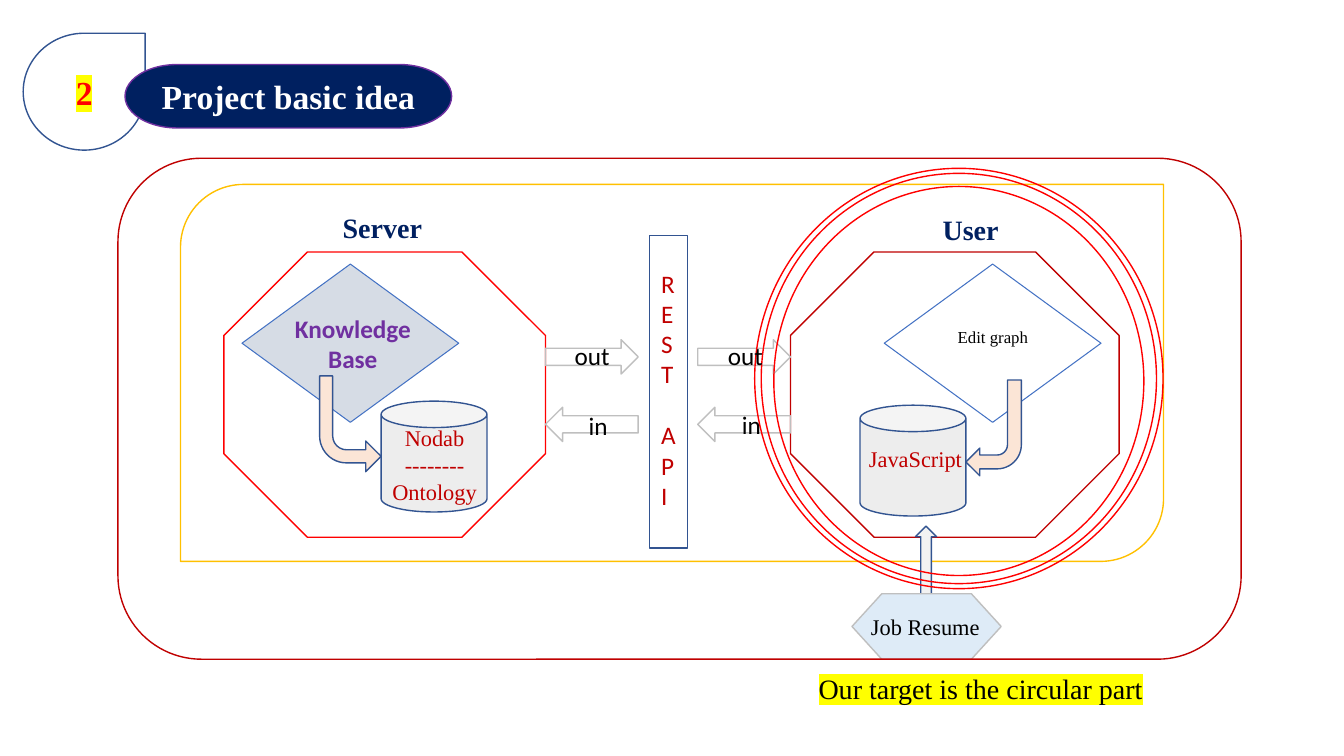
"""Build the slide that shows the basic idea of the project."""
import pptx
import pptx.util
import pptx.dml.color
import pptx.enum.shapes
import pptx.enum.text
import lxml.etree

KIND = pptx.enum.shapes.MSO_SHAPE
ALIGN = pptx.enum.text.PP_ALIGN
FIT = pptx.enum.text.MSO_AUTO_SIZE
PT = pptx.util.Pt

THEME = {
    "serif": "Times New Roman", "sans": "Calibri",
    "title": 24, "head": 20, "body": 18, "part": 16, "note": 12,
    "navy": "002060", "blue": "325491", "sky": "4472C4", "slate": "D6DCE5",
    "ice": "DEEBF7", "red": "FF0000", "brick": "C00000", "gold": "FFC000",
    "plum": "7030A0", "peach": "FBE5D6", "grey": "BFBFBF", "ash": "EDEDED",
    "mist": "F2F2F2", "white": "FFFFFF", "black": "000000", "glow": "FFFF00",
}

WIDE, HIGH = 13.33, 7.5
COLS, ROWS = 133.3, 75

PANELS = [
    {"oct": (22.2, 25, 31.9, 28.3), "edge": "red", "gem": 24, "fill": "slate",
     "can": (37.8, 39.8), "bend": (31.7, 37.3, 6.1, 9.5), "flip": "flipV",
     "turn": 0, "adj": (0.213, 0.25, 0.25, 0.438)},
    {"oct": (78.4, 25, 32.6, 28.3), "edge": "brick", "gem": 87.7, "fill": None,
     "can": (85.3, 40.2), "bend": (95.8, 37.7, 5.5, 9.5), "flip": None,
     "turn": 180, "adj": ()},
]
GEM_TOP, GEM, CAN = 26.2, (21.5, 15.7), (10.5, 11)
FLOW_X, FLOW = (54.1, 69.2), (9.2, 3.4)
FLOW_Y = ((33.7, None), (40.4, "flipH"))
RING_X = 95.1
RINGS = [(16.7, 40.5, 41.7), (17.2, 39.2, 40.7), (18.5, 36.7, 38.6)]

LABELS = [
    ("Knowledge\nBase", (27.8, 30.6, 14.4, 7.1), "sans", "body", "plum",
     {"bold": True, "mid": True}),
    ("Nodab\n--------\nOntology", (37.2, 41.6, 11.8, 9.4), "serif", "part",
     "brick", {"mid": True}),
    ("JavaScript", (83.4, 43.7, 14.8, 3.7), "serif", "part", "brick",
     {"mid": True}),
    ("Server", (33, 20.4, 13.3, 4.4), "serif", "head", "navy", {"bold": True}),
    ("User", (92.5, 20.6, 9.3, 4.4), "serif", "head", "navy", {"bold": True}),
    ("R\nE\nS\nT\nA\nP\nI", (64.6, 26.1, 3, 28.3), "sans", "body", "brick",
     {"gap": 4}),
    ("out", (56, 33.3, 6.7, 4), "sans", "body", "black", {}),
    ("in", (57.4, 40.2, 5.2, 4), "sans", "body", "black", {}),
    ("out", (71.2, 33.3, 7.2, 4), "sans", "body", "black", {}),
    ("in", (72.6, 40.1, 6.2, 4), "sans", "body", "black", {}),
    ("Job Resume", (85.4, 60.3, 12.9, 3.7), "serif", "part", "black",
     {"wrap": False}),
    ("Edit graph", (94, 31.9, 9.1, 3), "serif", "note", "black",
     {"wrap": False}),
    ("Our target is the circular part", (80.2, 66.1, 34.3, 4.4), "serif",
     "head", "black", {"mark": True}),
]


def tint(name):
    return pptx.dml.color.RGBColor.from_string(THEME[name])


def place(at):
    wide, high = pptx.util.Inches(WIDE), pptx.util.Inches(HIGH)
    return [round(part * side / count) for part, side, count
            in zip(at, (wide, high) * 2, (COLS, ROWS) * 2)]


def draw(slide, kind, at, edge, fill=None, flip=None, turn=0, adj=(), line=1):
    shape = slide.shapes.add_shape(kind, *place(at))
    shape.shadow.inherit = False
    if fill:
        shape.fill.solid()
        shape.fill.fore_color.rgb = tint(fill)
    else:
        shape.fill.background()
    shape.line.color.rgb = tint(edge)
    shape.line.width = PT(line)
    shape.rotation = turn
    for spot, value in enumerate(adj):
        shape.adjustments[spot] = value
    if flip:
        shape.element.spPr.xfrm.set(flip, "1")
    return shape


def mark_run(run):
    fill = run.font.fill
    fill.solid()
    fill.fore_color.rgb = run.font.color.rgb
    props = run.font._element
    space = props.nsmap["a"]
    glow = lxml.etree.Element("{%s}highlight" % space)
    lxml.etree.SubElement(glow, "{%s}srgbClr" % space, val=THEME["glow"])
    props.find("{%s}solidFill" % space).addnext(glow)


def write(shape, text, face, size, ink, bold=False, mid=False, mark=False,
          gap=None):
    frame = shape.text_frame
    frame.text = text
    for spot, para in enumerate(frame.paragraphs):
        para.alignment = ALIGN.CENTER if mid else ALIGN.LEFT
        if spot == gap:
            para.space_before = PT(22)
        for run in para.runs:
            run.font.name = THEME[face]
            run.font.size = PT(THEME[size])
            run.font.bold = bold
            run.font.color.rgb = tint(ink)
            if mark:
                mark_run(run)


def label(slide, text, at, face, size, ink, look):
    look = dict(look)
    box = slide.shapes.add_textbox(*place(at))
    box.text_frame.word_wrap = look.pop("wrap", True)
    box.text_frame.auto_size = FIT.SHAPE_TO_FIT_TEXT
    write(box, text, face, size, ink, **look)


def panel(slide, part):
    draw(slide, KIND.DIAMOND, (part["gem"], GEM_TOP, *GEM), "sky",
         part["fill"], line=0.75)
    draw(slide, KIND.BENT_ARROW, part["bend"], "blue", "peach", part["flip"],
         part["turn"], part["adj"])
    draw(slide, KIND.CAN, (*part["can"], *CAN), "blue", "ash")
    draw(slide, KIND.OCTAGON, part["oct"], part["edge"])


def main():
    deck = pptx.Presentation()
    deck.slide_width = pptx.util.Inches(WIDE)
    deck.slide_height = pptx.util.Inches(HIGH)
    slide = deck.slides.add_slide(deck.slide_layouts[6])

    for part in PANELS:
        panel(slide, part)
    draw(slide, KIND.MATH_MINUS, (45.2, 30.9, 42.2, 15.9), "blue", turn=90)
    for left in FLOW_X:
        for top, flip in FLOW_Y:
            draw(slide, KIND.RIGHT_ARROW, (left, top, *FLOW), "grey",
                 flip=flip)

    draw(slide, KIND.ROUND_2_DIAG_RECTANGLE, (17.9, 18.3, 97.5, 37.4), "gold")
    draw(slide, KIND.UP_ARROW, (90.8, 52.2, 2.1, 8.4), "blue", "mist")
    draw(slide, KIND.FLOWCHART_PREPARATION, (84.5, 58.9, 14.8, 6.5), "grey",
         "ice")
    draw(slide, KIND.ROUNDED_RECTANGLE, (11.7, 15.7, 111.4, 49.7), "brick")
    for top, wide, high in RINGS:
        draw(slide, KIND.OVAL, (RING_X - wide / 2, top, wide, high), "red")
    for item in LABELS:
        label(slide, *item)

    badge = draw(slide, KIND.TEAR, (2.3, 3.3, 12.1, 11.6), "blue", "white")
    write(badge, "2", "serif", "title", "red", bold=True, mid=True, mark=True)
    title = draw(slide, KIND.FLOWCHART_TERMINATOR, (12.4, 6.4, 32.4, 6.3),
                 "plum", "navy")
    write(title, "Project basic idea", "serif", "title", "white", bold=True,
          mid=True)
    deck.save("out.pptx")


if __name__ == "__main__":
    main()
